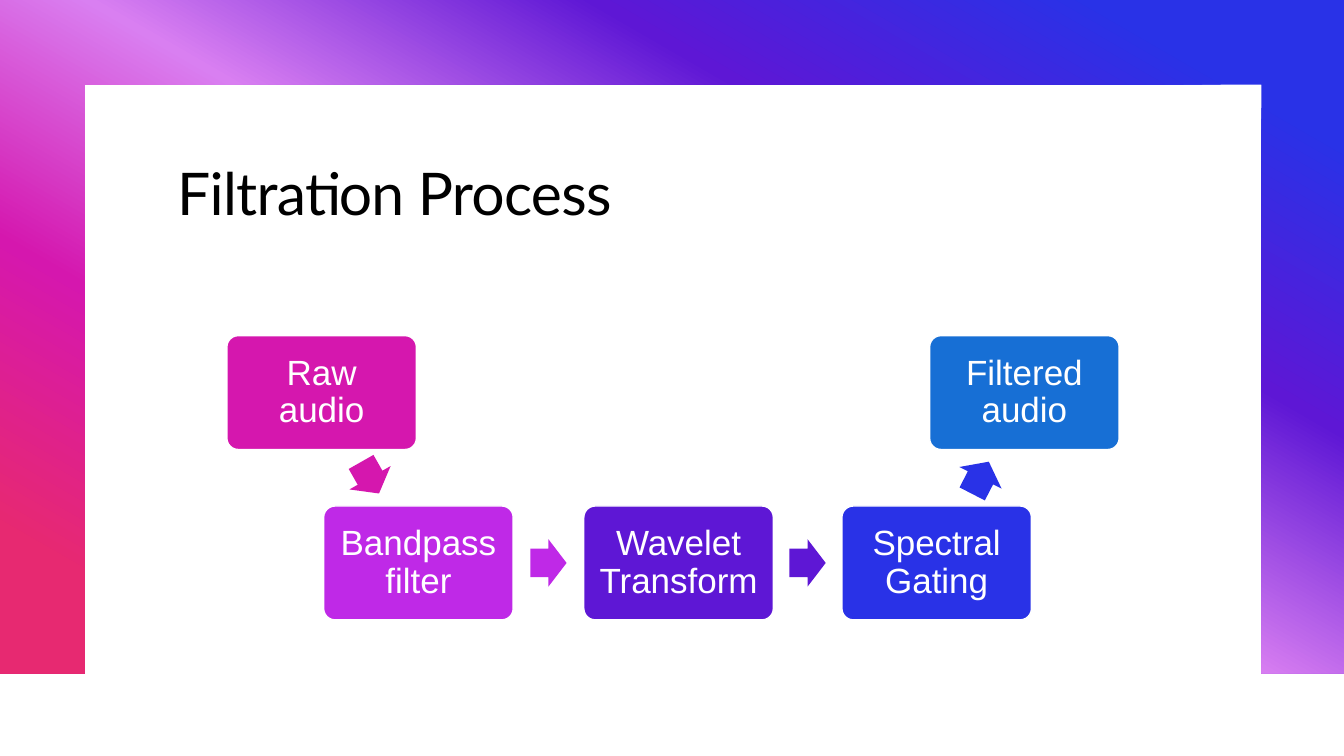
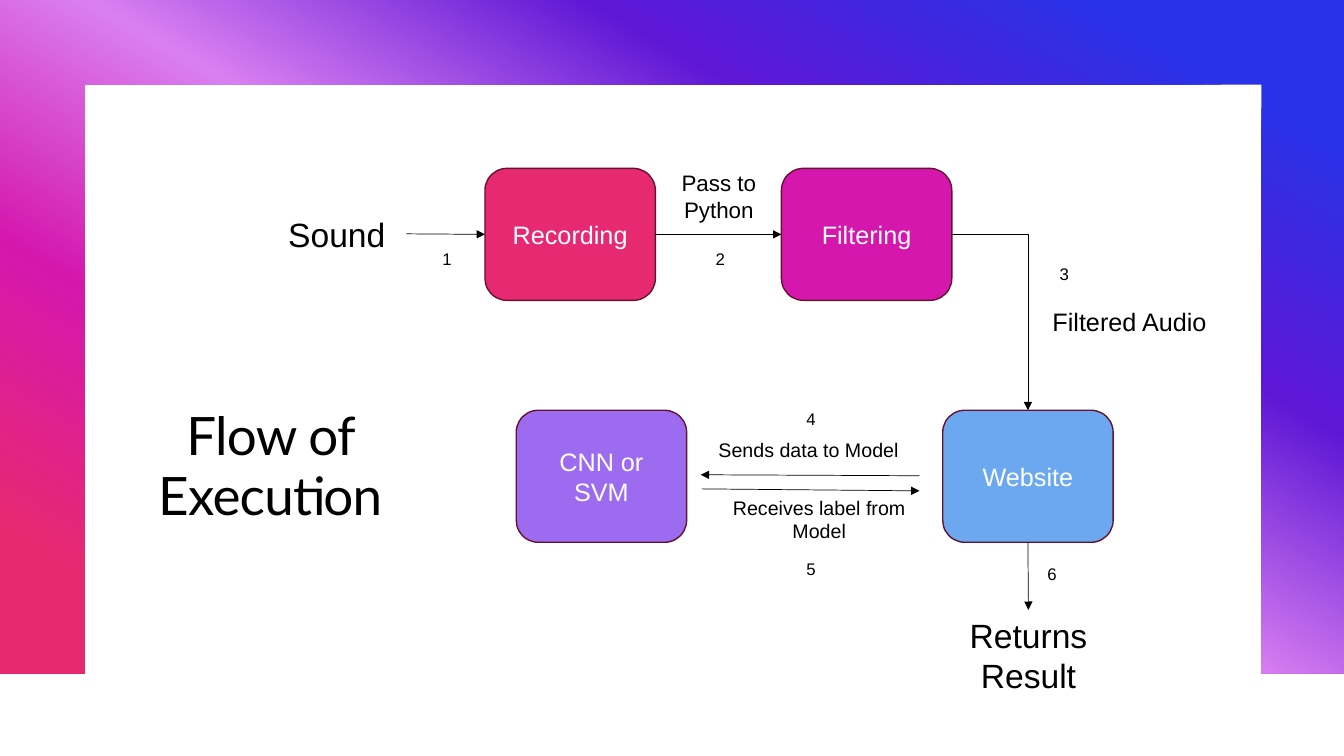
import math

from lxml import etree
from pptx import Presentation
from pptx.dml.color import RGBColor
from pptx.enum.shapes import MSO_CONNECTOR, MSO_SHAPE
from pptx.enum.text import MSO_ANCHOR, MSO_AUTO_SIZE, PP_ALIGN
from pptx.oxml.ns import qn
from pptx.util import Inches, Pt

LEFT, CENTER = PP_ALIGN.LEFT, PP_ALIGN.CENTER
MIDDLE = MSO_ANCHOR.MIDDLE
GROW = MSO_AUTO_SIZE.SHAPE_TO_FIT_TEXT
STRAIGHT, ELBOW = MSO_CONNECTOR.STRAIGHT, MSO_CONNECTOR.ELBOW
ROUNDED, ARROW = MSO_SHAPE.ROUNDED_RECTANGLE, MSO_SHAPE.RIGHT_ARROW
PROCESS = MSO_SHAPE.FLOWCHART_ALTERNATE_PROCESS
TOP_SIDE, LEFT_SIDE, BOTTOM_SIDE, RIGHT_SIDE = range(4)


class Theme:
    black, white, outline = "000000", "FFFFFF", "651232"
    red, magenta, orchid = "E72971", "D517AE", "BF29E7"
    pink, violet, lilac = "D97FF1", "5E17D5", "9C6BEF"
    blue, azure, sky = "2932E7", "176FD5", "6BA8EF"
    title_font, body_font = "Lato", "Arial"
    title_size, small_title_size = 42, 37.8
    step_size, endpoint_size, box_size = 25, 24, 18
    wide_label_size, label_size, number_size = 16, 14, 12
    frame_stops = [(10, blue), (30, violet), (50, pink), (70, magenta), (90, red)]


def write(shape, text, size, color, align=CENTER, font=Theme.body_font, spacing=None):
    frame = shape.text_frame
    frame.word_wrap = True
    para = frame.paragraphs[0]
    para.text = text
    para.alignment = align
    para.line_spacing = spacing
    para.font.name = font
    para.font.size = Pt(size)
    para.font.color.rgb = RGBColor.from_string(color)
    return frame


def add_page(title, area, size, align):
    page = deck.slides.add_slide(deck.slide_layouts[6])

    # Gradient frame around the white panel
    outline = [(13.33, 0), (13.33, 6.68), (12.51, 6.68), (12.51, 0.84),
               (0.84, 0.84), (0.84, 6.68), (0, 6.68)]
    builder = page.shapes.build_freeform(0, 0)
    builder.add_line_segments([(Inches(x), Inches(y)) for x, y in outline])
    border = builder.convert_to_shape()
    border.shadow.inherit = False
    border.line.fill.background()
    border.fill.gradient()
    border.fill.gradient_angle = 240
    stops = border.element.spPr.find(qn("a:gradFill")).find(qn("a:gsLst"))
    stops.clear()
    for percent, color in Theme.frame_stops:
        stop = etree.SubElement(stops, qn("a:gs"), pos=str(percent * 1000))
        etree.SubElement(stop, qn("a:srgbClr"), val=color)

    # Title
    box = page.shapes.add_textbox(*map(Inches, area))
    frame = write(box, title, size, Theme.black, align, Theme.title_font, 0.95)
    frame.paragraphs[0].runs[0].font._element.set("spc", "-50")
    return page


deck = Presentation()
deck.slide_width, deck.slide_height = Inches(13.33), Inches(7.5)

# Slide 1: filtration process
page = add_page("Filtration Process", (1.66, 1.56, 10, 1), Theme.title_size, LEFT)
step_width, step_height = 1.88, 1.13
arrow_width, arrow_height = 0.36, 0.47
upper, lower = 3.33, 5.02
steps = [
    ("Raw audio", 2.25, upper, Theme.magenta),
    ("Bandpass filter", 3.21, lower, Theme.orchid),
    ("Wavelet Transform", 5.79, lower, Theme.violet),
    ("Spectral Gating", 8.35, lower, Theme.blue),
    ("Filtered audio", 9.22, upper, Theme.azure),
]
for text, left, top, color in steps:
    box = page.shapes.add_shape(ROUNDED, Inches(left), Inches(top),
                                Inches(step_width), Inches(step_height))
    box.adjustments[0] = 0.1
    box.shadow.inherit = False
    box.fill.solid()
    box.fill.fore_color.rgb = RGBColor.from_string(color)
    box.line.color.rgb = RGBColor.from_string(Theme.white)
    box.line.width = Pt(1)
    frame = write(box, text, Theme.step_size, Theme.white, spacing=0.9)
    frame.vertical_anchor = MIDDLE

# Arrows sit halfway between neighbouring steps and point at the next one
for (_, left, top, color), (_, next_left, next_top, _) in zip(steps, steps[1:]):
    middle_x = (left + next_left + step_width) / 2
    middle_y = (top + next_top + step_height) / 2
    arrow = page.shapes.add_shape(
        ARROW, Inches(middle_x - arrow_width / 2), Inches(middle_y - arrow_height / 2),
        Inches(arrow_width), Inches(arrow_height))
    arrow.adjustments[0], arrow.adjustments[1] = 0.6, 0.5
    arrow.rotation = math.degrees(math.atan2(next_top - top, next_left - left)) % 360
    arrow.shadow.inherit = False
    arrow.fill.solid()
    arrow.fill.fore_color.rgb = RGBColor.from_string(color)
    arrow.line.fill.background()

# Slide 2: flow of execution
page = add_page("Flow of Execution", (1.28, 3.99, 2.8, 0.97),
                Theme.small_title_size, CENTER)
nodes = {}
for text, left, top, color in [
    ("Recording", 4.81, 1.67, Theme.red),
    ("Filtering", 7.75, 1.67, Theme.magenta),
    ("Website", 9.35, 4.07, Theme.sky),
    ("CNN or SVM", 5.12, 4.07, Theme.lilac),
]:
    box = page.shapes.add_shape(PROCESS, Inches(left), Inches(top),
                                Inches(1.69), Inches(1.31))
    box.shadow.inherit = False
    box.fill.solid()
    box.fill.fore_color.rgb = RGBColor.from_string(color)
    box.line.color.rgb = RGBColor.from_string(Theme.outline)
    box.line.width = Pt(1)
    write(box, text, Theme.box_size, Theme.white).vertical_anchor = MIDDLE
    nodes[text] = box

# Labels and step numbers
labels = [
    ("Sound", 2.65, 2.07, 1.38, 0.5, Theme.endpoint_size, CENTER),
    ("Returns Result", 9.26, 6.05, 1.88, 0.91, Theme.endpoint_size, CENTER),
    ("Pass to Python", 6.43, 1.63, 1.4, 0.64, Theme.wide_label_size, CENTER),
    ("Sends data to Model", 6.95, 4.3, 2.14, 0.34, Theme.label_size, CENTER),
    ("Receives label from Model", 7.15, 4.87, 1.95, 0.57, Theme.label_size, CENTER),
    ("Filtered Audio", 10.34, 2.99, 2.04, 0.4, Theme.box_size, LEFT),
]
number_places = [(4.29, 2.42), (7, 2.42), (10.41, 2.57),
                 (7.9, 4.01), (7.9, 5.49), (10.29, 5.54)]
for number, (left, top) in enumerate(number_places, 1):
    labels.append((str(number), left, top, 0.25, 0.3, Theme.number_size, CENTER))
for text, left, top, width, height, size, align in labels:
    box = page.shapes.add_textbox(*map(Inches, (left, top, width, height)))
    write(box, text, size, Theme.black, align).auto_size = GROW
    nodes[text] = box

# Arrows: ends, then the box sides they join
for kind, ends, start, finish in [
    (STRAIGHT, (4.03, 2.32, 4.81, 2.32), ("Sound", RIGHT_SIDE), ("Recording", LEFT_SIDE)),
    (STRAIGHT, (6.5, 2.32, 7.75, 2.32), ("Recording", RIGHT_SIDE), ("Filtering", LEFT_SIDE)),
    (ELBOW, (9.44, 2.32, 10.19, 4.07), ("Filtering", RIGHT_SIDE), ("Website", TOP_SIDE)),
    (STRAIGHT, (9.12, 4.72, 6.95, 4.71), None, None),
    (STRAIGHT, (6.96, 4.85, 9.12, 4.87), None, None),
    (STRAIGHT, (10.19, 5.38, 10.19, 6.05), ("Website", BOTTOM_SIDE),
     ("Returns Result", TOP_SIDE)),
]:
    connector = page.shapes.add_connector(kind, *map(Inches, ends))
    if start:
        connector.begin_connect(nodes[start[0]], start[1])
        connector.end_connect(nodes[finish[0]], finish[1])
    connector.line.color.rgb = RGBColor.from_string(Theme.black)
    connector.line.width = Pt(0.5)
    properties = connector.element.spPr
    if kind == ELBOW:
        properties.find(qn("a:prstGeom")).set("prst", "bentConnector2")
    etree.SubElement(properties.find(qn("a:ln")), qn("a:tailEnd"), type="triangle")
    etree.SubElement(properties, qn("a:effectLst"))

deck.save("out.pptx")
